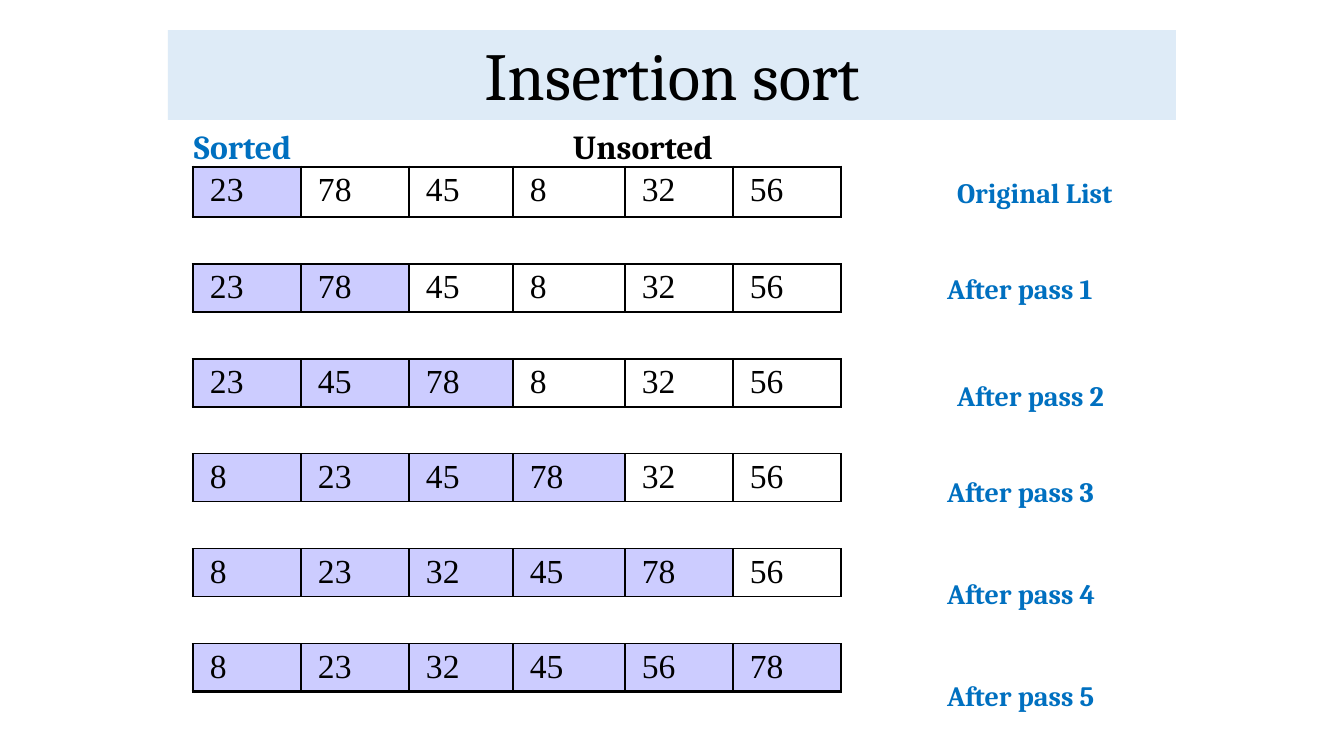
from pptx import Presentation
from pptx.dml.color import RGBColor
from pptx.enum.text import MSO_ANCHOR, MSO_AUTO_SIZE, PP_ALIGN
from pptx.util import Pt
from lxml.etree import SubElement
from pptx.oxml.ns import qn

PX = 9071
HUE = {"black": "000000", "blue": "0070C0", "pale": "DEEBF7", "lilac": "CCCCFF"}


def write(frame, text, size=20, hue="blue", font="Cambria", bold=True, inset=(10, 5, 10, 5)):
    frame.margin_left, frame.margin_top, frame.margin_right, frame.margin_bottom = [
        n * PX for n in inset]
    frame.word_wrap = True
    para = frame.paragraphs[0]
    run = para.add_run()
    run.text = text
    run.font.size = Pt(size)
    run.font.name = font
    run.font.bold = bold
    run.font.color.rgb = RGBColor.from_string(HUE[hue])
    return para


def edge(cell, side, width):
    line = SubElement(cell._tc.get_or_add_tcPr(), qn("a:ln" + side), w=str(Pt(width)))
    if width:
        fill = SubElement(line, qn("a:solidFill"))
        SubElement(fill, qn("a:srgbClr"), val=HUE["black"])
    else:
        SubElement(line, qn("a:noFill"))


deck = Presentation()
deck.slide_width, deck.slide_height = 1344 * PX, 756 * PX
slide = deck.slides.add_slide(deck.slide_layouts[5])

title = slide.shapes.title
title.left, title.top, title.width, title.height = 168 * PX, 30 * PX, 1008 * PX, 90 * PX
title.fill.solid()
title.fill.fore_color.rgb = RGBColor.from_string(HUE["pale"])
head = write(title.text_frame, "Insertion sort", size=48, hue="black", bold=False)
head.alignment = PP_ALIGN.CENTER
head.line_spacing = 0.9
title.text_frame.vertical_anchor = MSO_ANCHOR.BOTTOM
title.text_frame.auto_size = MSO_AUTO_SIZE.NONE

passes = [
    [23, 78, 45, 8, 32, 56],
    [23, 78, 45, 8, 32, 56],
    [23, 45, 78, 8, 32, 56],
    [8, 23, 45, 78, 32, 56],
    [8, 23, 32, 45, 78, 56],
    [8, 23, 32, 45, 56, 78],
]
widths = [108, 108, 104, 112, 108, 108]
heights = [50] + [47, 48] * 5
table = slide.shapes.add_table(
    len(heights), len(widths), 193 * PX, 167 * PX, sum(widths) * PX, sum(heights) * PX).table
table.first_row = False
table.horz_banding = False
for col, width in enumerate(widths):
    table.columns[col].width = width * PX
for row, height in enumerate(heights):
    table.rows[row].height = height * PX
    step, gap = divmod(row, 2)
    for col in range(len(widths)):
        cell = table.cell(row, col)
        edge(cell, "L", 0 if gap else 2.25 if col == 0 else 1)
        edge(cell, "R", 0 if gap else 2.25 if col == len(widths) - 1 else 1)
        edge(cell, "T", 2.25 if row == 0 else 1)
        edge(cell, "B", 2.25 if row == len(heights) - 1 else 1)
        if not gap and col <= step:
            cell.fill.solid()
            cell.fill.fore_color.rgb = RGBColor.from_string(HUE["lilac"])
        else:
            cell.fill.background()
        if not gap:
            write(cell.text_frame, str(passes[step][col]), size=24, hue="black",
                  font="Times New Roman", bold=False)
            cell.margin_left, cell.margin_right = 17 * PX, 10 * PX
            cell.margin_top, cell.margin_bottom = 5 * PX, 4 * PX

for step in range(len(passes)):
    box = slide.shapes.add_textbox(947 * PX, (170 + step * 508 // 5) * PX, 213 * PX, 38 * PX)
    label = f"After pass {step}" if step else "Original List"
    write(box.text_frame, label, inset=(10, 5, 10, 5) if step in (0, 2) else (0, 0, 0, 0))

for text, left, width, hue in [("Sorted", 184, 179, "blue"), ("Unsorted", 563, 279, "black")]:
    box = slide.shapes.add_textbox(left * PX, 121 * PX, width * PX, 50 * PX)
    write(box.text_frame, text, size=24, hue=hue)

deck.save("out.pptx")
